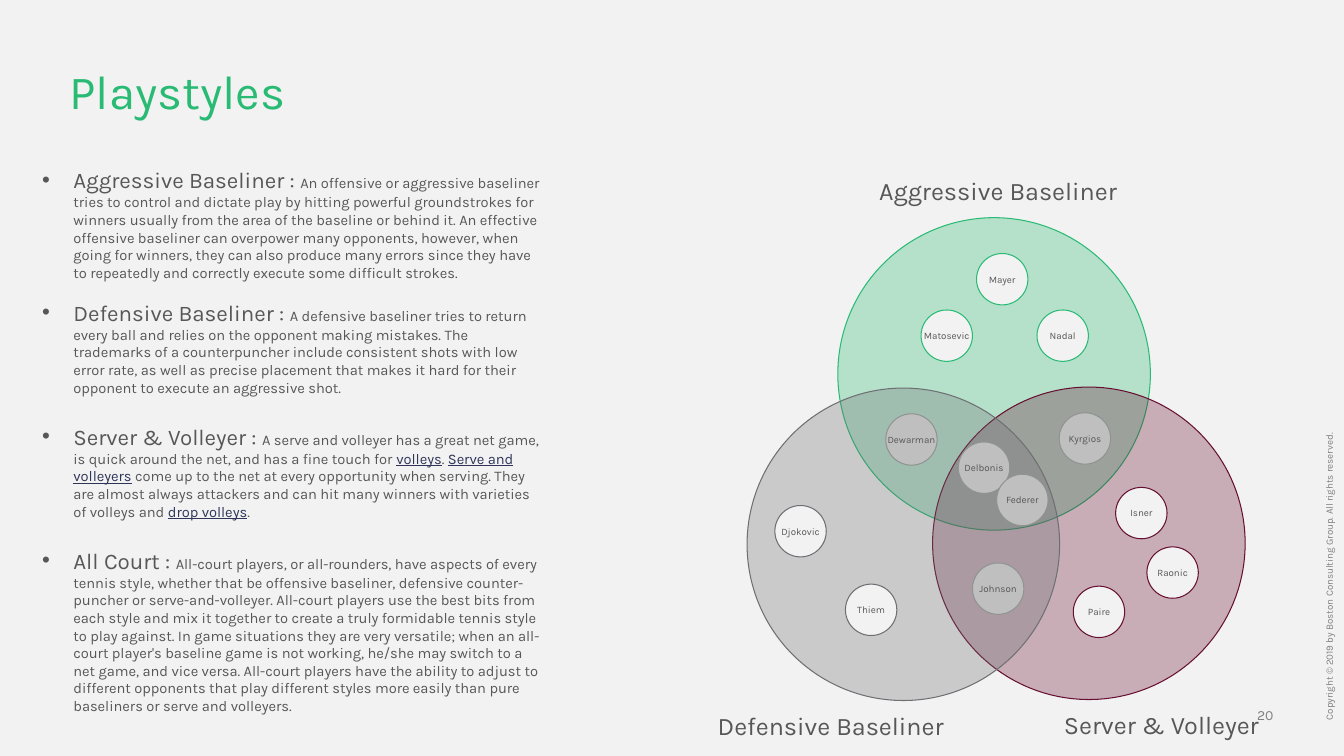
"""Build the tennis playstyles slide: four style definitions beside a Venn diagram of players."""
from lxml import etree
from pptx import Presentation
from pptx import util as u
from pptx.dml.color import RGBColor
from pptx.enum import shapes, text
from pptx.oxml.ns import qn

PAPER = RGBColor(0xF2, 0xF2, 0xF2)
GREEN = RGBColor(0x29, 0xBA, 0x74)
WINE = RGBColor(0x67, 0x0F, 0x31)
SLATE = RGBColor(0x6E, 0x6F, 0x73)
INK = RGBColor(0x57, 0x57, 0x57)
NAVY = RGBColor(0x2E, 0x35, 0x58)
FOOTER = RGBColor(0x80, 0x80, 0x80)
SHARED_FILL = RGBColor(0xBF, 0xBF, 0xBF)
SHARED_EDGE = RGBColor(0x8F, 0x94, 0x91)
FONT = "Karla"

TITLE = "Playstyles"
PAGE = "20"
COPYRIGHT = "Copyright © 2019 by Boston Consulting Group. All rights reserved."

# heading, gap before in points, pieces of (wording, is_term)
DEFINITIONS = [
    ("Aggressive Baseliner : ", 0, [
        ("An offensive or aggressive baseliner tries to control and dictate play by hitting "
         "powerful groundstrokes for winners usually from the area of the baseline or behind it. "
         "An effective offensive baseliner can overpower many opponents, however, when going for "
         "winners, they can also produce many errors since they have to repeatedly and correctly "
         "execute some difficult strokes.", False)]),
    ("Defensive Baseliner : ", 12.5, [
        ("A defensive baseliner tries to return every ball and relies on the opponent making "
         "mistakes. The trademarks of a counterpuncher include consistent shots with low error "
         "rate, as well as precise placement that makes it hard for their opponent to execute an "
         "aggressive shot.", False)]),
    ("Server & Volleyer : ", 19, [
        ("A serve and volleyer has a great net game, is quick around the net, and has a fine "
         "touch for ", False),
        ("volleys", True), (". ", False), ("Serve and volleyers", True),
        (" come up to the net at every opportunity when serving. They are almost always attackers "
         "and can hit many winners with varieties of volleys and ", False),
        ("drop volleys", True), (".", False)]),
    ("All Court : ", 19, [
        ("All-court players, or all-rounders, have aspects of every tennis style, whether that be "
         "offensive baseliner, defensive counter-puncher or serve-and-volleyer. All-court players "
         "use the best bits from each style and mix it together to create a truly formidable "
         "tennis style to play against. In game situations they are very versatile; when an "
         "all-court player's baseline game is not working, he/she may switch to a net game, and "
         "vice versa. All-court players have the ability to adjust to different opponents that "
         "play different styles more easily than pure baseliners or serve and volleyers.", False)]),
]

STYLES = [
    ("Aggressive Baseliner", GREEN, (9.86, 3.71), (9.9, 1.89)),
    ("Server & Volleyer", WINE, (10.8, 5.39), (11.52, 7.19)),
    ("Defensive Baseliner", SLATE, (8.96, 5.4), (8.24, 7.2)),
]
PLAYERS = [
    (PAPER, GREEN, [("Matosevic", 9.39, 3.33), ("Mayer", 9.94, 2.77), ("Nadal", 10.54, 3.33)]),
    (PAPER, WINE, [("Paire", 10.9, 6.07), ("Isner", 11.32, 5.09), ("Raonic", 11.63, 5.68)]),
    (PAPER, SLATE, [("Thiem", 8.64, 6.05), ("Djokovic", 7.94, 5.27)]),
    (SHARED_FILL, SHARED_EDGE, [("Dewarman", 9.04, 4.36), ("Kyrgios", 10.76, 4.35),
                                ("Johnson", 9.9, 5.84), ("Delbonis", 9.76, 4.64),
                                ("Federer", 10.14, 4.96)]),
]
STYLE_SIZE, PLAYER_SIZE = 3.1, 0.51


def centred(middle, width, height):
    x, y = middle
    return [u.Inches(v) for v in (x - width / 2, y - height / 2, width, height)]


def add_run(paragraph, wording, size, color=INK, underline=None):
    run = paragraph.add_run()
    run.text = wording
    run.font.name, run.font.size = FONT, u.Pt(size)
    run.font.color.rgb, run.font.underline = color, underline


def set_frame(frame, anchor, inset=0.0, wrap=True):
    frame.word_wrap, frame.vertical_anchor = wrap, anchor
    frame.margin_left = frame.margin_right = u.Inches(inset)
    frame.margin_top = frame.margin_bottom = 0
    return frame.paragraphs[0]


def add_text(canvas, box, wording, size, color, align, anchor=text.MSO_ANCHOR.MIDDLE):
    label = canvas.add_textbox(*box)
    paragraph = set_frame(label.text_frame, anchor)
    paragraph.alignment = align
    add_run(paragraph, wording, size, color)
    return label


def add_circle(canvas, middle, size, fill, edge, opacity=None):
    circle = canvas.add_shape(shapes.MSO_SHAPE.OVAL, *centred(middle, size, size))
    circle.shadow.inherit = False
    circle.fill.solid()
    circle.fill.fore_color.rgb = fill
    circle.line.color.rgb, circle.line.width = edge, u.Pt(0.75)
    if opacity:
        tint = circle.fill._xPr.find(qn("a:solidFill"))[0]
        etree.SubElement(tint, qn("a:alpha"), val=str(opacity * 1000))
    return circle


def add_definitions(slide):
    box = slide.shapes.add_textbox(*[u.Inches(v) for v in (0.32, 1.65, 5.14, 5.64)])
    paragraph = set_frame(box.text_frame, text.MSO_ANCHOR.TOP, 0.1)
    for heading, gap, pieces in DEFINITIONS:
        if gap:
            paragraph = box.text_frame.add_paragraph()
            paragraph.space_before = u.Pt(gap)
        properties = paragraph._p.get_or_add_pPr()
        properties.set("marL", str(u.Inches(0.31)))
        properties.set("indent", str(-u.Inches(0.31)))
        etree.SubElement(properties, qn("a:buFont"), typeface="Arial")
        etree.SubElement(properties, qn("a:buChar"), char="•")
        add_run(paragraph, heading, 16)
        for wording, is_term in pieces:
            add_run(paragraph, wording, 10.5, NAVY if is_term else INK, is_term or None)


def add_venn(slide):
    venn = slide.shapes.add_group_shape().shapes
    for _, color, middle, _ in STYLES:
        add_circle(venn, middle, STYLE_SIZE, color, color, 30)
    for fill, edge, members in PLAYERS:
        for player, x, y in members:
            circle = add_circle(venn, (x, y), PLAYER_SIZE, fill, edge)
            paragraph = set_frame(circle.text_frame, text.MSO_ANCHOR.MIDDLE, wrap=False)
            paragraph.alignment = text.PP_ALIGN.CENTER
            add_run(paragraph, player, 7)
    for style, _, _, middle in STYLES:
        add_text(venn, centred(middle, 2.88, 0.59), style, 18, INK, text.PP_ALIGN.CENTER)


def main():
    deck = Presentation()
    deck.slide_width, deck.slide_height = u.Inches(13.33), u.Inches(7.5)
    slide = deck.slides.add_slide(deck.slide_layouts[5])
    slide.background.fill.solid()
    slide.background.fill.fore_color.rgb = PAPER

    title = slide.shapes.title
    title.left, title.top, title.width, title.height = [
        u.Inches(v) for v in (0.69, 0.68, 11.96, 0.51)]
    heading = set_frame(title.text_frame, text.MSO_ANCHOR.TOP)
    heading.alignment, heading.line_spacing = text.PP_ALIGN.LEFT, 0.9
    add_run(heading, TITLE, 34, GREEN)

    add_definitions(slide)
    add_venn(slide)
    add_text(slide.shapes, centred((12.42, 7.09), 0.42, 0.17), PAGE, 10, FOOTER,
             text.PP_ALIGN.RIGHT, text.MSO_ANCHOR.BOTTOM)
    notice = add_text(slide.shapes, centred((13.19, 4.34), 5.61, 0.11), COPYRIGHT, 7, FOOTER,
                      text.PP_ALIGN.LEFT, text.MSO_ANCHOR.TOP)
    notice.rotation = 270
    notice.text_frame.paragraphs[0].line_spacing = 0.9
    deck.save("out.pptx")


if __name__ == "__main__":
    main()
